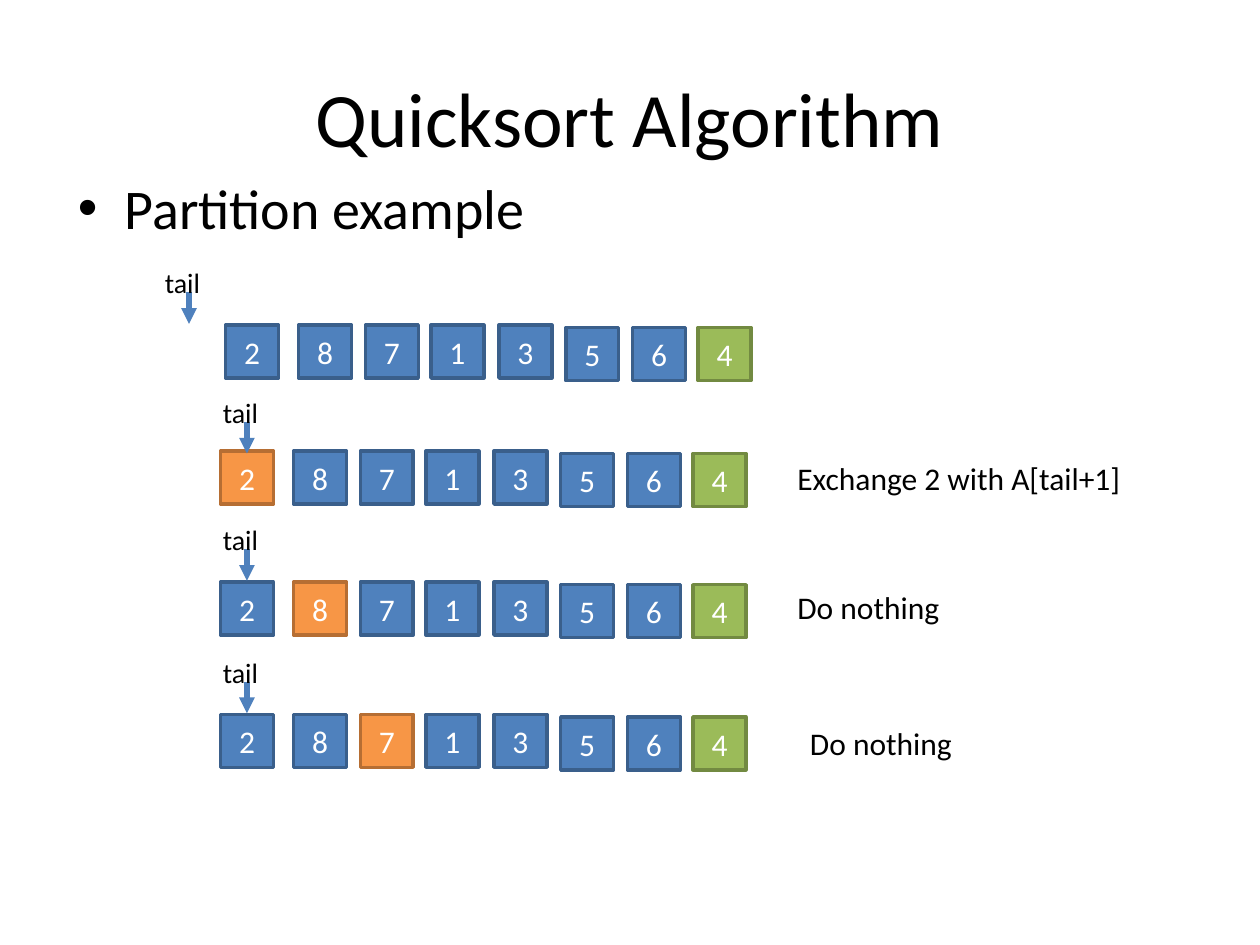
from lxml import etree
from pptx import Presentation
from pptx.dml.color import RGBColor
from pptx.enum.shapes import MSO_CONNECTOR, MSO_SHAPE
from pptx.enum.text import MSO_ANCHOR, PP_ALIGN
from pptx.oxml.ns import qn
from pptx.util import Inches, Pt

LEFT, CENTER = PP_ALIGN.LEFT, PP_ALIGN.CENTER
TOP, MIDDLE = MSO_ANCHOR.TOP, MSO_ANCHOR.MIDDLE
RECTANGLE, STRAIGHT = MSO_SHAPE.RECTANGLE, MSO_CONNECTOR.STRAIGHT

BLACK = RGBColor(0x00, 0x00, 0x00)
WHITE = RGBColor(0xFF, 0xFF, 0xFF)
BLUE = RGBColor(0x4F, 0x81, 0xBD)
# Cell role: (fill, outline)
CELL_COLORS = {
    "plain": (BLUE, RGBColor(0x3A, 0x5F, 0x8B)),
    "current": (RGBColor(0xF7, 0x96, 0x46), RGBColor(0xB6, 0x6E, 0x33)),
    "pivot": (RGBColor(0x9B, 0xBB, 0x59), RGBColor(0x72, 0x8A, 0x41)),
}

TITLE = "Quicksort Algorithm"
TOPIC = "Partition example"
ARRAY = [2, 8, 7, 1, 3, 5, 6, 4]
PIVOT = len(ARRAY) - 1
# Each step: cells (left, top), tail arrow (x, top), current index, note, note (left, top)
STEPS = [
    ((1.79, 2.58), (1.5, 2.32), None, None, None),
    ((1.75, 3.58), (1.96, 3.35), 0, "Exchange 2 with A[tail+1]", (6.23, 3.59)),
    ((1.75, 4.62), (1.96, 4.36), 1, "Do nothing", (6.23, 4.62)),
    ((1.75, 5.67), (1.96, 5.41), 2, "Do nothing", (6.33, 5.7)),
]

CELL = 0.42
CELL_OFFSETS = [0, 0.58, 1.11, 1.63, 2.17, 2.7, 3.23, 3.75]
LOWERED_FROM, LOWERED_BY = 5, 0.02
ARROW_LENGTH = 0.25
BULLET_INDENT = 0.37


def write_text(shape, text, size=18, color=BLACK, align=LEFT, anchor=TOP, bullet=False):
    frame = shape.text_frame
    frame.word_wrap = True
    frame.vertical_anchor = anchor
    paragraph = frame.paragraphs[0]
    paragraph.alignment = align
    if bullet:
        properties = paragraph._p.get_or_add_pPr()
        properties.set("marL", str(Inches(BULLET_INDENT)))
        properties.set("indent", str(-Inches(BULLET_INDENT)))
        etree.SubElement(properties, qn("a:buFont"), typeface="Arial")
        etree.SubElement(properties, qn("a:buChar"), char="•")
    run = paragraph.add_run()
    run.text = text
    run.font.name = "Calibri"
    run.font.size = Pt(size)
    run.font.color.rgb = color


def add_text(slide, text, left, top, width, height, **text_format):
    box = slide.shapes.add_textbox(*map(Inches, (left, top, width, height)))
    write_text(box, text, **text_format)


def add_cell(slide, value, left, top, role):
    cell = slide.shapes.add_shape(RECTANGLE, *map(Inches, (left, top, CELL, CELL)))
    cell.shadow.inherit = False
    fill, outline = CELL_COLORS[role]
    cell.fill.solid()
    cell.fill.fore_color.rgb = fill
    cell.line.color.rgb = outline
    cell.line.width = Pt(2)
    write_text(cell, str(value), color=WHITE, align=CENTER, anchor=MIDDLE)


def add_tail_marker(slide, x, top):
    """Add the arrow that points at the tail position, with its label above."""
    arrow = slide.shapes.add_connector(
        STRAIGHT, *map(Inches, (x, top, x, top + ARROW_LENGTH)))
    arrow.line.color.rgb = BLUE
    arrow.line.width = Pt(3)
    etree.SubElement(arrow.line._get_or_add_ln(), qn("a:tailEnd"), type="triangle")
    etree.SubElement(arrow._element.spPr, qn("a:effectLst"))
    add_text(slide, "tail", x - 0.29, top - 0.26, 0.57, 0.37, size=16)


def add_array(slide, left, top, current):
    for index, (value, offset) in enumerate(zip(ARRAY, CELL_OFFSETS)):
        role = "pivot" if index == PIVOT else "current" if index == current else "plain"
        drop = LOWERED_BY if index >= LOWERED_FROM else 0
        add_cell(slide, value, left + offset, top + drop, role)


def main():
    deck = Presentation()
    deck.slide_width, deck.slide_height = Inches(10), Inches(7.5)
    slide = deck.slides.add_slide(deck.slide_layouts[6])

    add_text(slide, TITLE, 0.5, 0.3, 9, 1.25, size=44, align=CENTER, anchor=MIDDLE)
    add_text(slide, TOPIC, 0.52, 1.33, 9, 4.95, size=32, bullet=True)
    for cells_at, arrow_at, current, note, note_at in STEPS:
        add_array(slide, *cells_at, current)
        add_tail_marker(slide, *arrow_at)
        if note:
            add_text(slide, note, *note_at, 3.18, 0.4)

    deck.save("out.pptx")


if __name__ == "__main__":
    main()
